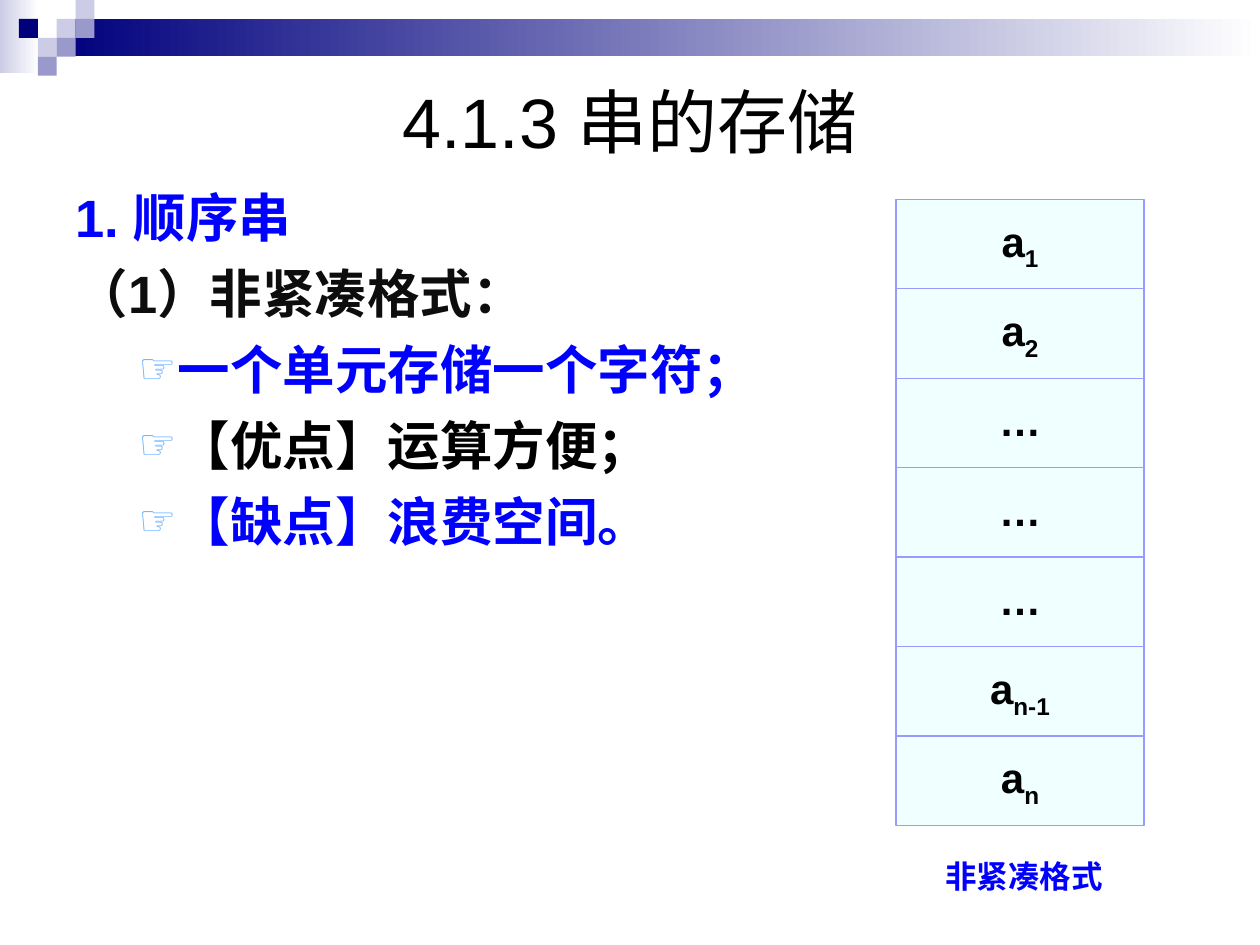
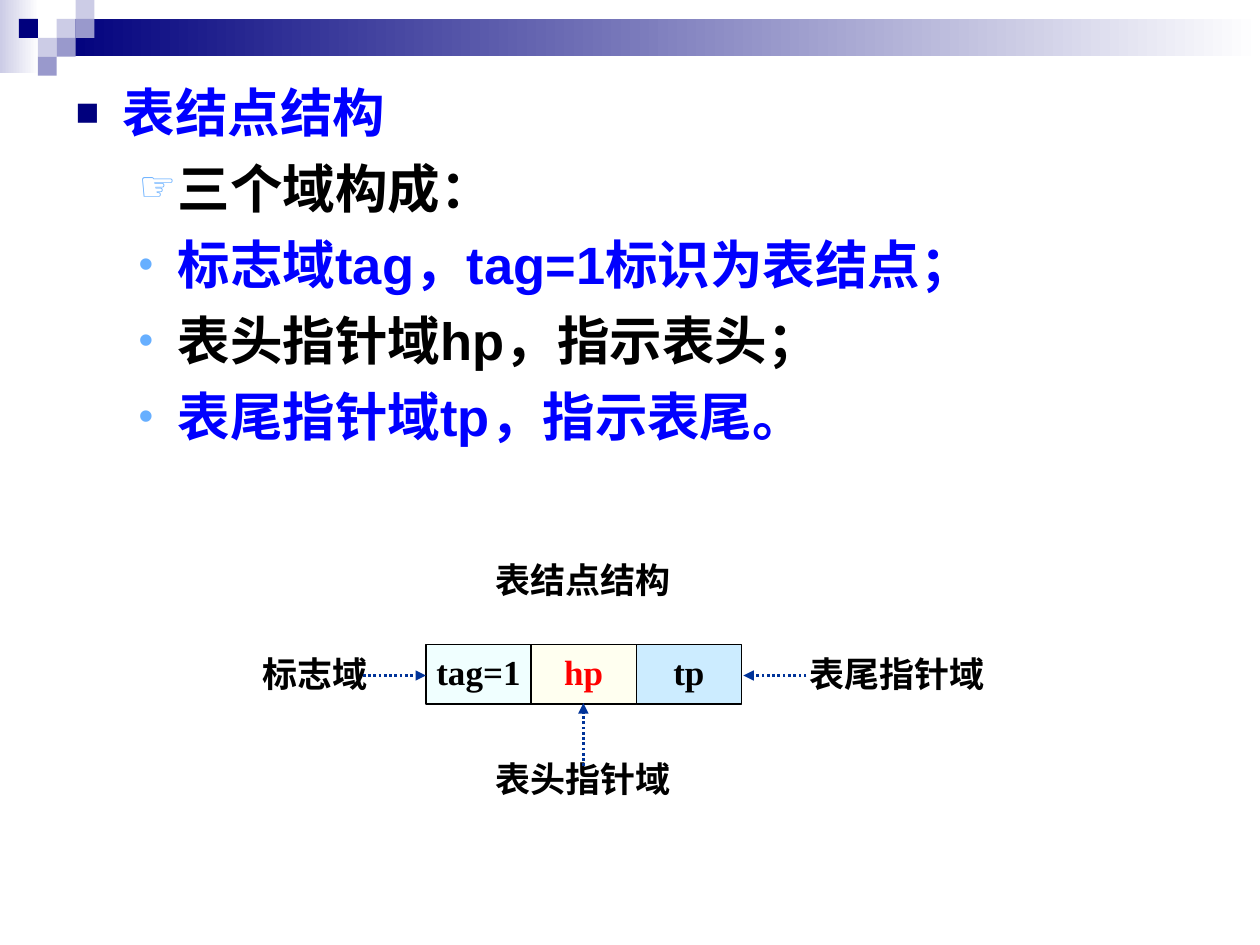
from dataclasses import dataclass

from lxml.etree import SubElement
from pptx import Presentation
from pptx.dml.color import RGBColor
from pptx.enum.dml import MSO_LINE
from pptx.enum.shapes import MSO_CONNECTOR as CONNECTOR, MSO_SHAPE as SHAPE
from pptx.enum.text import MSO_ANCHOR as ANCHOR, MSO_AUTO_SIZE as AUTO, PP_ALIGN as ALIGN
from pptx.oxml.ns import qn
from pptx.util import Pt


@dataclass(frozen=True)
class Theme:
    """Colours, fonts and type sizes of the deck."""
    navy: str = "00007D"
    lilac: str = "9999CC"
    mist: str = "CCCCE6"
    white: str = "FFFFFF"
    black: str = "000000"
    soft_black: str = "0D0D0D"
    blue: str = "0000FF"
    red: str = "FF0000"
    bullet: str = "67AFFF"
    azure: str = "F0FFFF"
    ivory: str = "FFFFF0"
    sky: str = "CCECFF"
    cell_line: str = "9999FF"
    arrow: str = "003399"
    sans: str = "Arial"
    serif: str = "Times New Roman"
    title_size: int = 40
    body_size: int = 30
    cell_size: int = 24
    node_size: int = 20
    caption_size: int = 18


T = Theme()
HAND, DOT, SQUARE = "☞", "•", "■"


def rgb(color):
    """Turn a hex string into a colour."""
    return RGBColor.from_string(color)


def place(s, x, y, w, h):
    """Move and size a shape, in points."""
    s.left, s.top, s.width, s.height = Pt(x), Pt(y), Pt(w), Pt(h)


def add_run(p, text, size, color, font=T.sans, bold=True, baseline=None):
    """Add one formatted run to a paragraph."""
    r = p.add_run()
    r.text = text
    r.font.name, r.font.size, r.font.bold = font, Pt(size), bold
    r.font.color.rgb = rgb(color)
    if baseline:
        r._r.get_or_add_rPr().set("baseline", str(baseline * 1000))


def set_bullet(p, char, color, percent):
    """Give a paragraph a bullet, or none when char is empty."""
    pPr = p._p.get_or_add_pPr()
    if not char:
        SubElement(pPr, qn("a:buNone"))
        return
    SubElement(SubElement(pPr, qn("a:buClr")), qn("a:srgbClr")).set("val", color)
    SubElement(pPr, qn("a:buSzPct")).set("val", str(percent * 1000))
    SubElement(pPr, qn("a:buChar")).set("char", char)


def set_indent(p, margin, hanging):
    """Set the left margin and hanging indent in points."""
    pPr = p._p.get_or_add_pPr()
    pPr.set("marL", str(Pt(margin)))
    pPr.set("indent", str(-Pt(hanging)))


def add_rect(slide, x, y, w, h, fill, line=None, fade_to=None):
    """Draw a flat or left-to-right graded rectangle."""
    s = slide.shapes.add_shape(SHAPE.RECTANGLE, Pt(x), Pt(y), Pt(w), Pt(h))
    s.shadow.inherit = False
    if fade_to:
        s.fill.gradient()
        s.fill.gradient_angle = 0
        for stop, color in zip(s.fill.gradient_stops, (fill, fade_to)):
            stop.color.rgb = rgb(color)
    else:
        s.fill.solid()
        s.fill.fore_color.rgb = rgb(fill)
    if line:
        s.line.color.rgb = rgb(line)
        s.line.width = Pt(0.75)
    else:
        s.line.fill.background()
    return s


def add_cell(slide, box, fill, line, runs, inset_top):
    """Draw a bordered cell with centred runs."""
    tf = add_rect(slide, *box, fill, line).text_frame
    tf.word_wrap = False
    tf.vertical_anchor = ANCHOR.MIDDLE
    tf.margin_top = Pt(inset_top)
    p = tf.paragraphs[0]
    p.alignment = ALIGN.CENTER
    for run in runs:
        add_run(p, **run)


def add_label(slide, x, y, w, text, size, color, font, inset_top):
    """Add a centred one-line label."""
    tf = slide.shapes.add_textbox(Pt(x), Pt(y), Pt(w), Pt(28.8)).text_frame
    tf.word_wrap = True
    tf.margin_top = Pt(inset_top)
    p = tf.paragraphs[0]
    p.alignment = ALIGN.CENTER
    add_run(p, text, size, color, font)


def add_arrow(slide, x1, y1, x2, y2):
    """Draw a dotted arrow to the second point."""
    s = slide.shapes.add_connector(CONNECTOR.STRAIGHT, Pt(x1), Pt(y1), Pt(x2), Pt(y2))
    s.line.width = Pt(1.5)
    s.line.color.rgb = rgb(T.arrow)
    s.line.dash_style = MSO_LINE.ROUND_DOT
    SubElement(s.line._get_or_add_ln(), qn("a:tailEnd")).set("type", "triangle")
    SubElement(s._element.spPr, qn("a:effectLst"))


def fill_title(slide, text):
    """Place and write the slide title."""
    s = slide.shapes.title
    place(s, 36, 36, 648, 66)
    tf = s.text_frame
    tf.auto_size = AUTO.NONE
    tf.vertical_anchor = ANCHOR.MIDDLE
    p = tf.paragraphs[0]
    p.alignment = ALIGN.CENTER
    add_run(p, text, T.title_size, T.black, bold=False)


def fill_body(slide, box, items):
    """Write (level, bullet, text, colour) items into the body placeholder."""
    s = slide.placeholders[1]
    place(s, *box)
    tf = s.text_frame
    tf.auto_size = AUTO.NONE
    for i, (level, char, text, color) in enumerate(items):
        p = tf.add_paragraph() if i else tf.paragraphs[0]
        p.level = level
        p.space_before = Pt(7.5 if i else 0)
        if level:
            set_indent(p, 58.5, 22.5)
            set_bullet(p, char, T.bullet, 80)
        else:
            set_indent(p, 27, 27)
            set_bullet(p, char, T.navy, 75)
        add_run(p, text, T.body_size, color)


def add_master_band(prs, slide):
    """Draw the header band and move it behind the master's placeholders."""
    side = 10.8
    band = [add_rect(slide, 0, 0, 22.3, 41.8, T.mist, fade_to=T.white),
            add_rect(slide, 32.4, side, 687.6, 21.4, T.navy, fade_to=T.white)]
    squares = [(3, 1, T.mist), (4, 0, T.mist), (4, 1, T.lilac), (2, 2, T.mist),
               (1, 1, T.navy), (3, 2, T.lilac), (2, 3, T.lilac)]
    for col, row, color in squares:
        band.append(add_rect(slide, col * side, row * side, side, side, color))
    tree = prs.slide_master.element.cSld.spTree
    for i, s in enumerate(band, start=2):
        tree.insert(i, s.element)


def build_sequential_string(slide):
    """Build the slide on sequential string storage."""
    fill_title(slide, "4.1.3 串的存储")
    fill_body(slide, (36, 102, 390, 384), [
        (0, "", "1. 顺序串", T.blue),
        (0, "", "（1）非紧凑格式：", T.soft_black),
        (1, HAND, "一个单元存储一个字符；", T.blue),
        (1, HAND, "【优点】运算方便；", T.black),
        (1, HAND, "【缺点】浪费空间。", T.blue),
    ])
    height = 51.1
    style = dict(size=T.cell_size, color=T.black)
    for i, index in enumerate(["1", "2", "", "", "", "n-1", "n"]):
        runs = [dict(text="a" if index else "…", **style)]
        if index:
            runs.append(dict(text=index, baseline=-25, **style))
        add_cell(slide, (512, 113.9 + i * height, 141.8, height), T.azure,
                 T.cell_line, runs, 3.6 if index else 0)
    add_label(slide, 516.2, 486, 138.2, "非紧凑格式", T.caption_size, T.blue, T.sans, 3.6)


def build_list_node(slide):
    """Build the slide on the structure of a list node."""
    title = slide.shapes.title.element
    title.getparent().remove(title)
    fill_body(slide, (36, 42, 648, 444), [
        (0, SQUARE, "表结点结构", T.blue),
        (1, HAND, "三个域构成：", T.black),
        (1, DOT, "标志域tag，tag=1标识为表结点；", T.blue),
        (1, DOT, "表头指针域hp，指示表头；", T.black),
        (1, DOT, "表尾指针域tp，指示表尾。", T.blue),
    ])
    width = 60.1
    fields = [("tag=1", T.azure, T.black), ("hp", T.ivory, T.red), ("tp", T.sky, T.black)]
    for i, (text, fill, color) in enumerate(fields):
        run = dict(text=text, size=T.node_size, color=color, font=T.serif)
        add_cell(slide, (243.4 + i * width, 368.4, width, 34), fill, T.black, [run], 0.7)
    for x, y, w, text in [(272.2, 318.2, 121.7, "表结点结构"),
                          (120.2, 372.2, 120.2, "标志域"),
                          (455, 372.2, 115.2, "表尾指针域"),
                          (272.2, 432, 121.7, "表头指针域")]:
        add_label(slide, x, y, w, text, T.node_size, T.black, T.serif, 0.7)
    for ends in [(207.4, 386, 243.4, 386), (460.8, 386, 424.8, 386),
                 (333.4, 437.8, 333.4, 401.8)]:
        add_arrow(slide, *ends)


def main():
    """Build and save the deck."""
    prs = Presentation()
    prs.slide_width, prs.slide_height = Pt(720), Pt(540)
    builders = (build_sequential_string, build_list_node)
    slides = [prs.slides.add_slide(prs.slide_layouts[1]) for _ in builders]
    add_master_band(prs, slides[0])
    for build, slide in zip(builders, slides):
        build(slide)
    prs.save("out.pptx")


if __name__ == "__main__":
    main()
